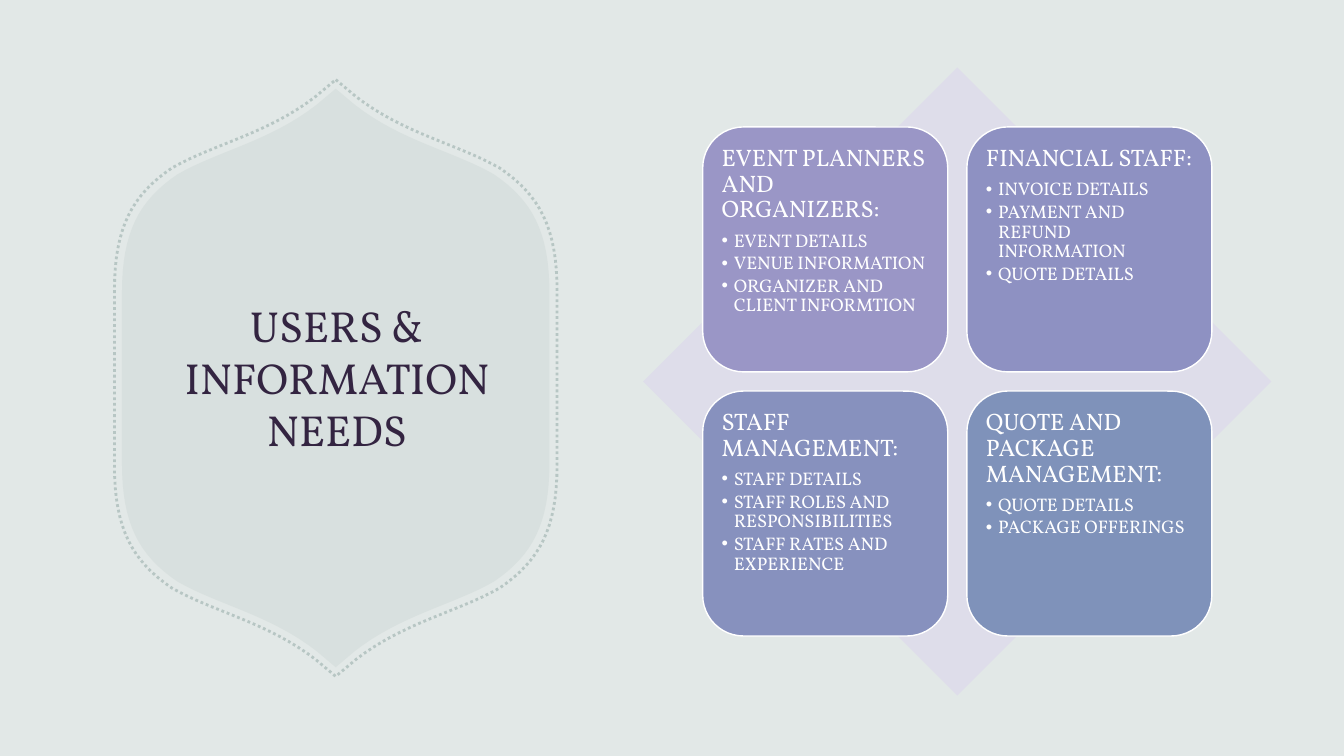
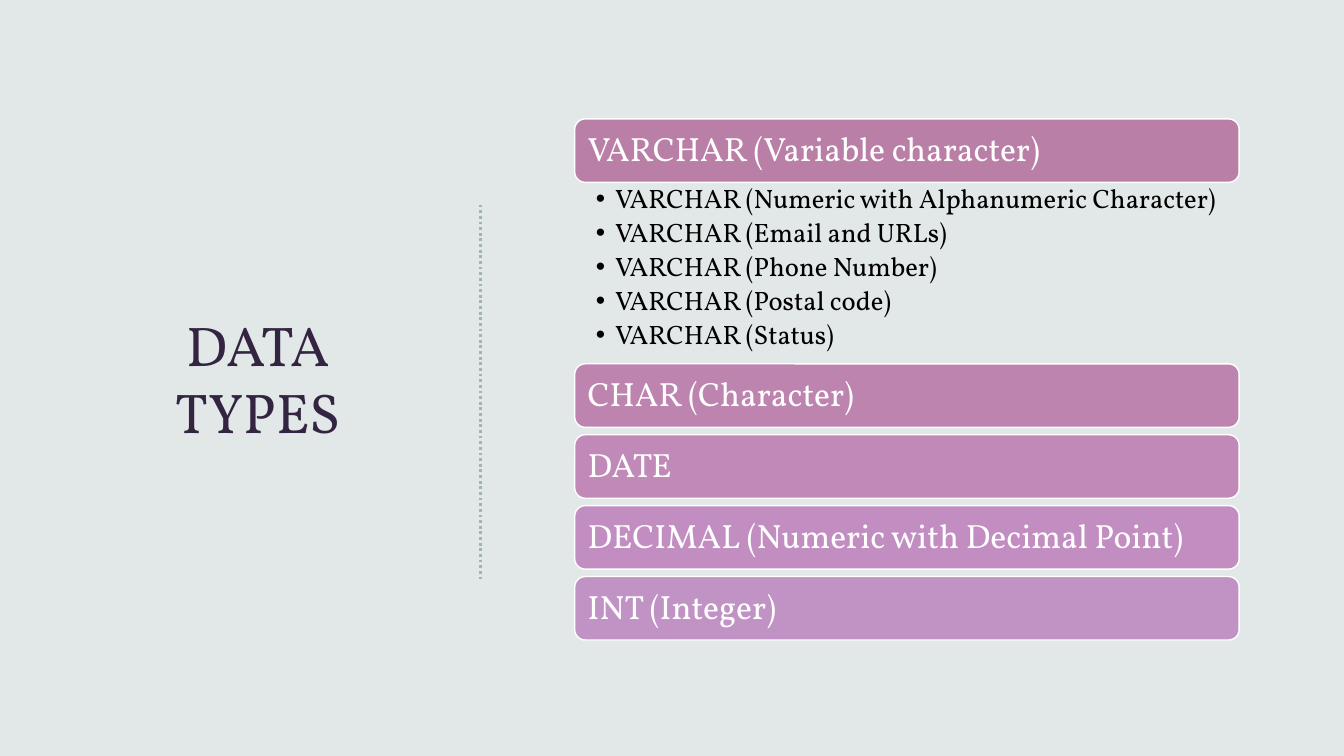
"""Build two slides: users and their information needs, and data types."""
import lxml.etree
import pptx
import pptx.dml.color
import pptx.enum.dml
import pptx.enum.shapes
import pptx.enum.text
import pptx.oxml.ns
import pptx.util

Inches = pptx.util.Inches
Pt = pptx.util.Pt
RGBColor = pptx.dml.color.RGBColor
SHAPE = pptx.enum.shapes.MSO_SHAPE
ANCHOR = pptx.enum.text.MSO_ANCHOR
ALIGN = pptx.enum.text.PP_ALIGN
qn = pptx.oxml.ns.qn

FONT = "Vollkorn"
BACKGROUND = RGBColor(0xE2, 0xE8, 0xE7)
SAGE = RGBColor(0xA2, 0xB5, 0xB2)
PLUM = RGBColor(0x33, 0x24, 0x41)
LAVENDER = RGBColor(0xDE, 0xDD, 0xEA)
WHITE = RGBColor(0xFF, 0xFF, 0xFF)
BLACK = RGBColor(0, 0, 0)

CARDS = [
    (RGBColor(0x9A, 0x96, 0xC6), "EVENT PLANNERS AND ORGANIZERS:",
     ["EVENT DETAILS", "VENUE INFORMATION", "ORGANIZER AND CLIENT INFORMTION"]),
    (RGBColor(0x8E, 0x91, 0xC2), "FINANCIAL STAFF:",
     ["INVOICE DETAILS", "PAYMENT AND REFUND INFORMATION", "QUOTE DETAILS"]),
    (RGBColor(0x87, 0x91, 0xBE), "STAFF MANAGEMENT:",
     ["STAFF DETAILS", "STAFF ROLES AND RESPONSIBILITIES",
      "STAFF RATES AND EXPERIENCE"]),
    (RGBColor(0x7F, 0x92, 0xBA), "QUOTE AND PACKAGE MANAGEMENT:",
     ["QUOTE DETAILS", "PACKAGE OFFERINGS"]),
]
VARCHAR_BAR = (RGBColor(0xBA, 0x7F, 0xA6), "VARCHAR (Variable character)")
VARCHAR_USES = ["Numeric with Alphanumeric Character", "Email and URLs",
                "Phone Number", "Postal code", "Status"]
OTHER_BARS = [
    (RGBColor(0xBD, 0x84, 0xAF), "CHAR (Character)"),
    (RGBColor(0xC0, 0x89, 0xB8), "DATE"),
    (RGBColor(0xC2, 0x8E, 0xC1), "DECIMAL (Numeric with Decimal Point)"),
    (RGBColor(0xC1, 0x93, 0xC5), "INT (Integer)"),
]


def place(sp, left, top, width, height):
    """Move and size a shape, in inches."""
    sp.left, sp.top = Inches(left), Inches(top)
    sp.width, sp.height = Inches(width), Inches(height)


def set_alpha(fill, percent):
    """Make a solid fill partly transparent."""
    clr = fill._xPr.find(".//" + qn("a:srgbClr"))
    lxml.etree.SubElement(clr, qn("a:alpha"), val=str(percent * 1000))


def dot_line(line):
    """Give a line the dotted ornament style."""
    line.color.rgb = SAGE
    line.width = Pt(2)
    line.dash_style = pptx.enum.dml.MSO_LINE.ROUND_DOT


def setup_frame(sp, anchor, insets):
    """Set wrapping, anchor and left, top, right, bottom insets."""
    tf = sp.text_frame
    tf.word_wrap = True
    tf.auto_size = pptx.enum.text.MSO_AUTO_SIZE.NONE
    tf.vertical_anchor = anchor
    tf.margin_left, tf.margin_top, tf.margin_right, tf.margin_bottom = map(Inches, insets)
    return tf


def write(p, text, size, color, align=ALIGN.LEFT):
    """Add one formatted run to a paragraph."""
    p.alignment = align
    r = p.add_run()
    r.text = text
    r.font.name, r.font.size = FONT, Pt(size)
    r.font.color.rgb = color


def space(p, after):
    """Set tight line spacing and the gap after a paragraph."""
    p.line_spacing = 0.9
    p.space_before = Pt(0)
    p.space_after = Pt(after)


def write_bullet(p, text, size, color, after, indent):
    """Write a paragraph with a hanging bullet."""
    write(p, text, size, color)
    space(p, after)
    pPr = p._p.get_or_add_pPr()
    pPr.set("marL", str(Inches(indent)))
    pPr.set("indent", str(-Inches(indent)))
    lxml.etree.SubElement(pPr, qn("a:buFont"), typeface="Arial")
    lxml.etree.SubElement(pPr, qn("a:buChar"), char="•")


def add_title(s, text, size, box):
    """Fill and place the title placeholder."""
    sp = s.shapes.title
    place(sp, *box)
    tf = setup_frame(sp, ANCHOR.MIDDLE, (0.1, 0.05, 0.1, 0.05))
    write(tf.paragraphs[0], text, size, PLUM, ALIGN.CENTER)


def add_block(s, kind, color, box, outlined=True):
    """Add a filled preset shape."""
    sp = s.shapes.add_shape(kind, *map(Inches, box))
    sp.shadow.inherit = False
    sp.fill.solid()
    sp.fill.fore_color.rgb = color
    if outlined:
        sp.line.color.rgb = WHITE
        sp.line.width = Pt(1)
    else:
        sp.line.fill.background()
    return sp


def curve(p0, p1, p2, p3, steps=16):
    """Return points along a cubic curve, without its start."""
    return [tuple((1 - t) ** 3 * a + 3 * (1 - t) ** 2 * t * b
                  + 3 * (1 - t) * t ** 2 * c + t ** 3 * d
                  for a, b, c, d in zip(p0, p1, p2, p3))
            for t in (i / steps for i in range(1, steps + 1))]


def add_ornament(s, width, height):
    """Add the pointed frame by mirroring its upper right quarter."""
    cx, cy = 3.33, 3.75
    shoulder, bend, side = (0.19, -2.71), (1.57, -2.02), (2.12, -0.84)
    quarter = [(0, -2.87), shoulder]
    quarter += curve(shoulder, (0.65, -2.35), (1.17, -2.25), bend)
    quarter += curve(bend, (1.95, -1.76), (2.12, -1.45), side)
    half = quarter + [(x, -y) for x, y in reversed(quarter)]
    outline = half + [(-x, y) for x, y in reversed(half)]
    pts = [(Inches(cx + x * width / 4.24), Inches(cy + y * height / 5.74))
           for x, y in outline]
    builder = s.shapes.build_freeform(*pts[0])
    builder.add_line_segments(pts[1:], close=True)
    sp = builder.convert_to_shape()
    sp.shadow.inherit = False
    return sp


def add_card(s, color, heading, items, box):
    """Add a rounded card with a heading and bullets."""
    sp = add_block(s, SHAPE.ROUNDED_RECTANGLE, color, box)
    tf = setup_frame(sp, ANCHOR.TOP, (0.07,) * 4)
    p = tf.paragraphs[0]
    write(p, heading, 17, WHITE)
    space(p, 6)
    for item in items:
        write_bullet(tf.add_paragraph(), item, 13, WHITE, 2, 0.12)


def add_bar(s, color, text, top):
    """Add a rounded bar naming a data type."""
    sp = add_block(s, SHAPE.ROUNDED_RECTANGLE, color, (5.7, top, 6.59, 0.63))
    p = setup_frame(sp, ANCHOR.MIDDLE, (0.1,) * 4).paragraphs[0]
    write(p, text, 24, WHITE)
    space(p, 0)


def build_users(prs):
    """Build the slide on users and information needs."""
    s = prs.slides.add_slide(prs.slide_layouts[5])
    panel = add_ornament(s, 4.24, 5.74)
    panel.fill.solid()
    panel.fill.fore_color.rgb = SAGE
    set_alpha(panel.fill, 15)
    panel.line.fill.background()
    border = add_ornament(s, 4.39, 5.92)
    border.fill.background()
    dot_line(border.line)
    set_alpha(border.line.fill, 65)
    add_title(s, "USERS & INFORMATION NEEDS", 31, (1.6, 2.11, 3.48, 3.26))
    s.shapes._spTree.append(s.shapes.title._element)
    add_block(s, SHAPE.DIAMOND, LAVENDER, (6.38, 0.67, 6.23, 6.23), False)
    side, pitch = 2.43, 2.62
    for i, (color, heading, items) in enumerate(CARDS):
        row, col = divmod(i, 2)
        box = (6.97 + col * pitch, 1.26 + row * pitch, side, side)
        add_card(s, color, heading, items, box)


def build_types(prs):
    """Build the slide on data types."""
    s = prs.slides.add_slide(prs.slide_layouts[1])
    add_title(s, "DATA TYPES", 40, (1.04, 1.73, 3.04, 4.03))
    divider = s.shapes.add_connector(
        pptx.enum.shapes.MSO_CONNECTOR.STRAIGHT,
        Inches(4.77), Inches(2.03), Inches(4.77), Inches(5.74))
    dot_line(divider.line)
    lxml.etree.SubElement(divider._element.spPr, qn("a:effectLst"))
    add_bar(s, *VARCHAR_BAR, 1.18)
    body = s.placeholders[1]
    place(body, 5.7, 1.81, 6.59, 1.79)
    tf = setup_frame(body, ANCHOR.TOP, (0.21, 0.03, 0.19, 0.03))
    for i, use in enumerate(VARCHAR_USES):
        p = tf.add_paragraph() if i else tf.paragraphs[0]
        write_bullet(p, f"VARCHAR ({use})", 19, BLACK, 3.8, 0.19)
    first, last = 3.61, 5.72
    pitch = (last - first) / (len(OTHER_BARS) - 1)
    for i, (color, text) in enumerate(OTHER_BARS):
        add_bar(s, color, text, first + i * pitch)


def main():
    """Build and save the presentation."""
    prs = pptx.Presentation()
    prs.slide_width, prs.slide_height = Inches(13.33), Inches(7.5)
    fill = prs.slide_master.background.fill
    fill.solid()
    fill.fore_color.rgb = BACKGROUND
    build_users(prs)
    build_types(prs)
    prs.save("out.pptx")


if __name__ == "__main__":
    main()
